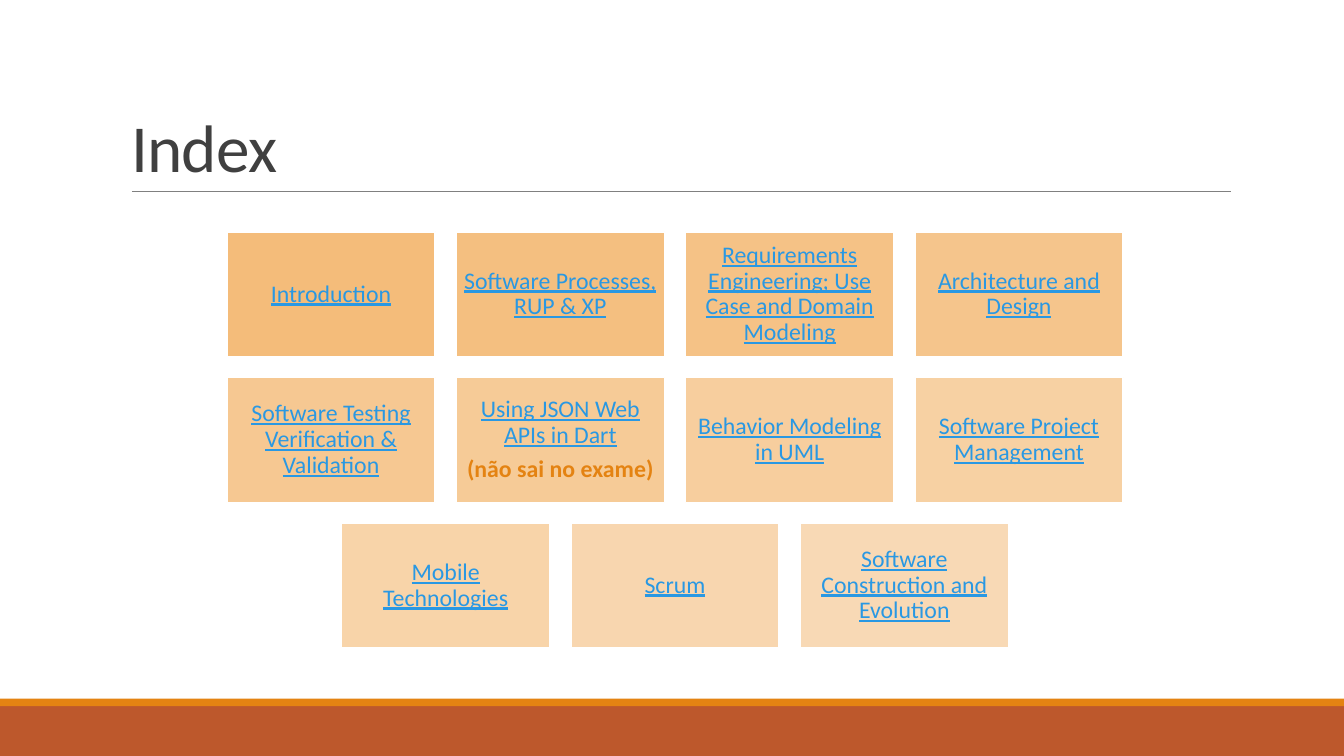
import pptx
import pptx.util
import pptx.dml.color
import pptx.enum.shapes
import pptx.enum.text
import pptx.oxml
import pptx.oxml.ns
from lxml import etree

Pt = pptx.util.Pt
COLORS = {
    "title": "404040",
    "rule": "808080",
    "tile": "F3B56C",
    "tile_edge": "FFFFFF",
    "topic": "2998E3",
    "accent": "E48312",
    "footer": "BD582C",
}
FONT = "Calibri"
SLIDE_WIDTH, SLIDE_HEIGHT = 960, 540
TILE_WIDTH, TILE_HEIGHT = 149, 89.3
PITCH_X, PITCH_Y = 163.8, 104
GRID_CENTER, GRID_TOP = 482.2, 165.6
FIRST_OPACITY, OPACITY_STEP = 90, 4

TOPIC_ROWS = [
    [
        "Introduction",
        "Software Processes, RUP & XP",
        "Requirements Engineering; Use Case and Domain Modeling",
        "Architecture and Design",
    ],
    [
        "Software Testing Verification & Validation",
        "Using JSON Web APIs in Dart",
        "Behavior Modeling in UML",
        "Software Project Management",
    ],
    ["Mobile Technologies", "Scrum", "Software Construction and Evolution"],
]
EXAM_NOTES = {"Using JSON Web APIs in Dart": "(não sai no exame)"}


def rgb(name):
    return pptx.dml.color.RGBColor.from_string(COLORS[name])


def add_run(paragraph, text, size, color, bold=False, underline=False):
    run = paragraph.add_run()
    run.text = text
    run.font.name = FONT
    run.font.size = Pt(size)
    run.font.color.rgb = rgb(color)
    run.font.bold = bold
    run.font.underline = underline
    return run


def add_block(slide, left, top, width, height, color):
    block = slide.shapes.add_shape(
        pptx.enum.shapes.MSO_SHAPE.RECTANGLE, Pt(left), Pt(top), Pt(width), Pt(height)
    )
    block.shadow.inherit = False
    block.fill.solid()
    block.fill.fore_color.rgb = rgb(color)
    block.line.fill.background()
    return block


def set_opacity(block, percent):
    color = block.fill._xPr.find(".//" + pptx.oxml.ns.qn("a:srgbClr"))
    alpha = etree.SubElement(color, pptx.oxml.ns.qn("a:alpha"))
    alpha.set("val", str(percent * 1000))


def add_footer_bands(slide):
    add_block(slide, 0, 504, SLIDE_WIDTH, 36, "footer")
    add_block(slide, 0, 499, SLIDE_WIDTH, 5.5, "accent")


def add_title_rule(slide):
    rule = slide.shapes.add_connector(
        pptx.enum.shapes.MSO_CONNECTOR.STRAIGHT, Pt(94.3), Pt(136.8), Pt(879), Pt(136.8)
    )
    rule.line.color.rgb = rgb("rule")
    rule.line.width = Pt(0.5)
    etree.SubElement(rule._element.spPr, pptx.oxml.ns.qn("a:effectLst"))


def fill_title(slide, text):
    title = slide.shapes.title
    title.left, title.top, title.width, title.height = Pt(86.4), Pt(22.6), Pt(792), Pt(114.2)
    frame = title.text_frame
    frame.word_wrap = True
    frame.auto_size = pptx.enum.text.MSO_AUTO_SIZE.NONE
    frame.vertical_anchor = pptx.enum.text.MSO_ANCHOR.BOTTOM
    heading = frame.paragraphs[0]
    heading.alignment = pptx.enum.text.PP_ALIGN.LEFT
    heading.line_spacing = 0.85
    run = add_run(heading, text, 48, "title")
    run._r.get_or_add_rPr().set("spc", "-50")


def add_topic_tile(slide, left, top, topic, opacity):
    tile = add_block(slide, left, top, TILE_WIDTH, TILE_HEIGHT, "tile")
    set_opacity(tile, opacity)
    tile.line.color.rgb = rgb("tile_edge")
    tile.line.width = Pt(1.25)

    frame = tile.text_frame
    frame.word_wrap = True
    frame.vertical_anchor = pptx.enum.text.MSO_ANCHOR.MIDDLE
    frame.margin_left = frame.margin_right = Pt(5)
    frame.margin_top = frame.margin_bottom = Pt(5)
    label = frame.paragraphs[0]
    add_run(label, topic, 17, "topic", underline=True)
    if topic in EXAM_NOTES:
        label.space_after = Pt(6)
        add_run(frame.add_paragraph(), EXAM_NOTES[topic], 17, "accent", bold=True)
    for paragraph in frame.paragraphs:
        paragraph.alignment = pptx.enum.text.PP_ALIGN.CENTER
        paragraph.line_spacing = 0.9


def add_topic_grid(slide):
    """Lay out each row centred, with tiles fading from first to last."""
    opacity = FIRST_OPACITY
    for row, topics in enumerate(TOPIC_ROWS):
        row_width = (len(topics) - 1) * PITCH_X + TILE_WIDTH
        row_left = GRID_CENTER - row_width / 2
        for column, topic in enumerate(topics):
            add_topic_tile(
                slide, row_left + column * PITCH_X, GRID_TOP + row * PITCH_Y, topic, opacity
            )
            opacity -= OPACITY_STEP


def main():
    deck = pptx.Presentation()
    deck.slide_width, deck.slide_height = Pt(SLIDE_WIDTH), Pt(SLIDE_HEIGHT)
    slide = deck.slides.add_slide(deck.slide_layouts.get_by_name("Title Only"))
    add_footer_bands(slide)
    add_title_rule(slide)
    fill_title(slide, "Index")
    add_topic_grid(slide)
    deck.save("out.pptx")


if __name__ == "__main__":
    main()
